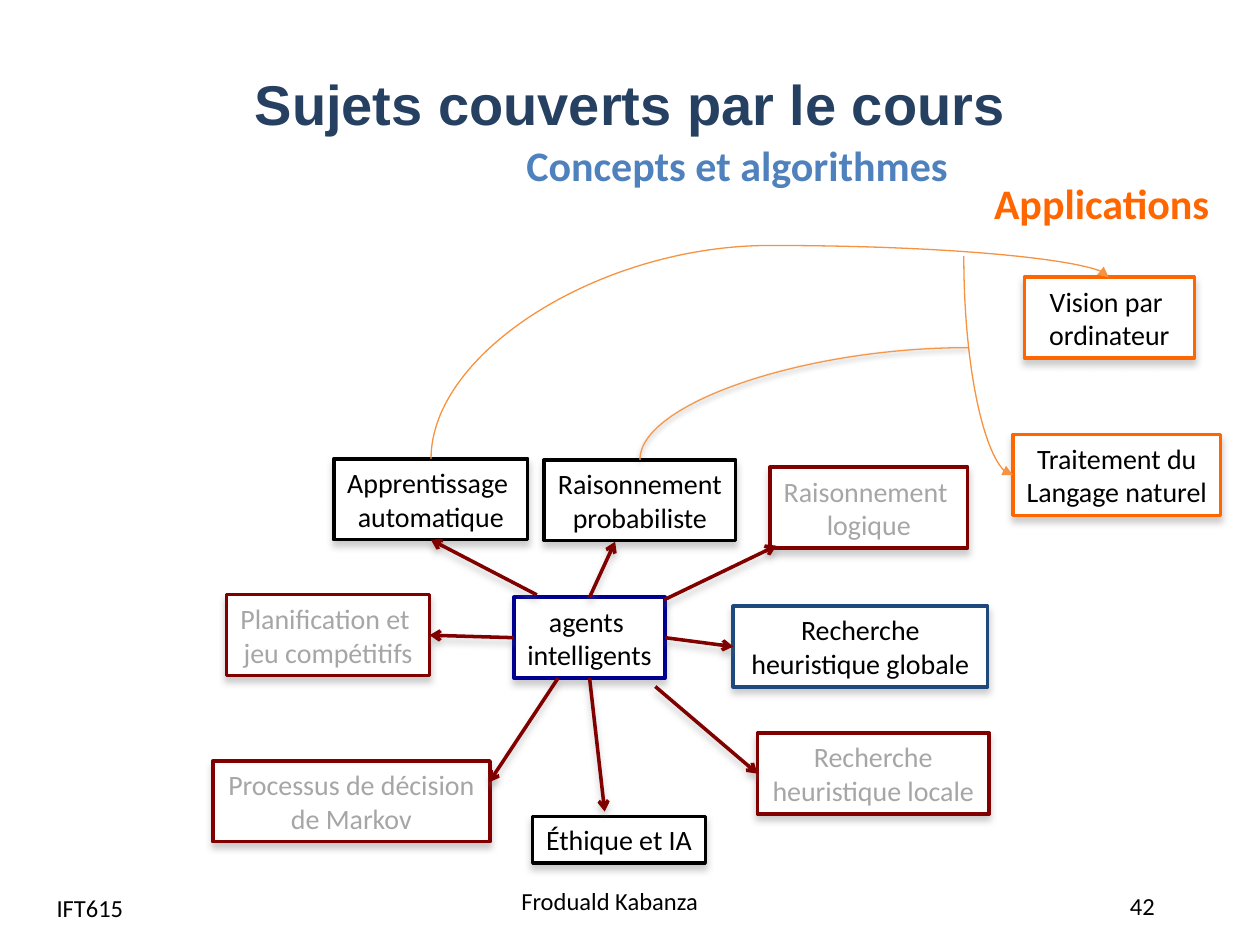
from lxml.etree import SubElement
from pptx import Presentation
from pptx.dml.color import RGBColor
from pptx.enum.shapes import MSO_CONNECTOR as Link, MSO_SHAPE as Preset
from pptx.enum.text import MSO_ANCHOR as Anchor, MSO_AUTO_SIZE as Fit, PP_ALIGN as Align
from pptx.oxml.ns import qn
from pptx.util import Cm, Pt

BLACK = RGBColor(0x00, 0x00, 0x00)
WHITE = RGBColor(0xFF, 0xFF, 0xFF)
GREY = RGBColor(0xA6, 0xA6, 0xA6)
MAROON = RGBColor(0x80, 0x00, 0x00)
NAVY = RGBColor(0x00, 0x00, 0x90)
STEEL = RGBColor(0x1F, 0x49, 0x7D)
TITLE_BLUE = RGBColor(0x25, 0x40, 0x61)
CONCEPT_BLUE = RGBColor(0x4F, 0x81, 0xBD)
ORANGE = RGBColor(0xFF, 0x66, 0x00)
CURVE_ORANGE = RGBColor(0xF6, 0x92, 0x40)
PALE_ORANGE = RGBColor(0xF7, 0x96, 0x46)

TOP, LEFT, BOTTOM, RIGHT = range(4)
ROW_HEIGHT = 1.63
SOFT_SHADOW = ("808080", 40, 4, 3)
DARK_SHADOW = ("000000", 38, 3.1, 1.6)


def add_shadow(effects, color, opacity, blur, distance):
    """Cast a shadow straight down; blur and distance are in points."""
    outer = SubElement(effects, qn("a:outerShdw"), blurRad=str(Pt(blur)),
                       dist=str(Pt(distance)), dir="5400000", rotWithShape="0")
    tint = SubElement(outer, qn("a:srgbClr"), val=color)
    SubElement(tint, qn("a:alpha"), val=str(opacity * 1000))


class ConceptMap:
    font = "Calibri"

    def __init__(self, slide):
        self.slide = slide
        self.shapes = slide.shapes

    def set_text(self, frame, text, size, color, align=Align.LEFT, bold=False, font=None):
        frame.text = text
        for paragraph in frame.paragraphs:
            paragraph.alignment = align
            for run in paragraph.runs:
                run.font.name = font or self.font
                run.font.size = Pt(size)
                run.font.bold = bold
                run.font.color.rgb = color

    def title(self, text, left, top, width, height):
        title = self.shapes.title
        title.left, title.top, title.width, title.height = map(Cm, (left, top, width, height))
        title.text_frame.vertical_anchor = Anchor.MIDDLE
        self.set_text(title.text_frame, text, 32, TITLE_BLUE, Align.CENTER, True, "Arial")

    def heading(self, text, left, top, width, color):
        frame = self.shapes.add_textbox(*map(Cm, (left, top, width, 1.27))).text_frame
        frame.word_wrap = False
        frame.auto_size = Fit.SHAPE_TO_FIT_TEXT
        self.set_text(frame, text, 24, color, bold=True)

    def footer(self, text, left, top, width, height, align=Align.LEFT):
        frame = self.shapes.add_textbox(*map(Cm, (left, top, width, height))).text_frame
        frame.word_wrap = True
        frame.vertical_anchor = Anchor.MIDDLE
        self.set_text(frame, text, 14, BLACK, align)

    def topic(self, text, left, top, width, border, color=BLACK, wrap=False, height=ROW_HEIGHT):
        box = self.shapes.add_shape(Preset.RECTANGLE, *map(Cm, (left, top, width, height)))
        box.shadow.inherit = False
        box.fill.solid()
        box.fill.fore_color.rgb = WHITE
        box.line.color.rgb = border
        box.line.width = Pt(2)
        add_shadow(box.element.spPr.find(qn("a:effectLst")), *SOFT_SHADOW)
        frame = box.text_frame
        frame.word_wrap = wrap
        frame.auto_size = Fit.SHAPE_TO_FIT_TEXT
        self.set_text(frame, text, 16, color, Align.CENTER)
        return box

    def style_link(self, link, color, width, head=None, shadow=None):
        link.line.color.rgb = color
        link.line.width = Pt(width)
        properties = link.element.spPr
        if head:
            SubElement(properties.find(qn("a:ln")), qn("a:tailEnd"), type=head)
        effects = SubElement(properties, qn("a:effectLst"))
        if shadow:
            add_shadow(effects, *shadow)

    def arrow(self, start, end):
        """Each end is a point in cm or a pair of box and side."""
        points = [(0, 0) if hasattr(place[0], "text_frame") else place for place in (start, end)]
        link = self.shapes.add_connector(Link.STRAIGHT, *(Cm(v) for point in points for v in point))
        for place, connect in ((start, link.begin_connect), (end, link.end_connect)):
            if hasattr(place[0], "text_frame"):
                connect(*place)
        self.style_link(link, MAROON, 2, "arrow", SOFT_SHADOW)

    def curve(self, start, end, turn, color, head=None, shadow=None, bend=None):
        """Draw a curve turned by 90 or 270 degrees; bend places its middle, in percent."""
        (x1, y1), (x2, y2) = start, end
        side = 1 if turn == 90 else -1
        half_x, half_y = side * (y2 - y1) / 2, -side * (x2 - x1) / 2
        mid_x, mid_y = (x1 + x2) / 2, (y1 + y2) / 2
        link = self.shapes.add_connector(
            Link.CURVE, *map(Cm, (mid_x - half_x, mid_y - half_y, mid_x + half_x, mid_y + half_y)))
        properties = link.element.spPr
        properties.find(qn("a:xfrm")).set("rot", str(turn * 60000))
        geometry = properties.find(qn("a:prstGeom"))
        if bend is None:
            geometry.set("prst", "curvedConnector2")
        else:
            SubElement(geometry.find(qn("a:avLst")), qn("a:gd"), name="adj1",
                       fmla=f"val {round(bend * 1000)}")
        self.style_link(link, color, 0.75, head, shadow)


def main():
    deck = Presentation()
    deck.slide_width, deck.slide_height = Cm(25.4), Cm(19.05)
    course = ConceptMap(deck.slides.add_slide(deck.slide_layouts[5]))

    course.title("Sujets couverts par le cours", 0.64, 1.09, 24.13, 1.96)
    course.footer("Froduald Kabanza", 10.26, 17.65, 8.76, 1.02)
    course.footer("42", 22, 17.93, 2.06, 0.66, Align.CENTER)
    course.footer("IFT615", 0.89, 17.78, 5.92, 1.02)

    agents = course.topic("agents \nintelligents", 10.36, 12.04, 3.05, NAVY)
    course.topic("Raisonnement \nlogique", 15.52, 9.42, 3.99, MAROON, GREY)
    learning = course.topic("Apprentissage \nautomatique", 6.73, 9.25, 3.91, BLACK)
    course.topic("Processus de décision \nde Markov", 4.29, 15.34, 5.59, MAROON, GREY, True)
    planning = course.topic("Planification et \njeu compétitifs", 4.57, 11.99, 4.09, MAROON, GREY)
    local_search = course.topic("Recherche heuristique locale", 15.27, 14.78, 4.67,
                                MAROON, GREY, True)
    global_search = course.topic("Recherche heuristique globale", 14.78, 12.22, 5.13,
                                 STEEL, wrap=True)
    course.topic("Éthique et IA", 10.74, 16.46, 3.48, BLACK, height=0.94)
    course.topic("Raisonnement\nprobabiliste", 10.97, 9.27, 3.86, BLACK)

    for start, end in (
        ((agents, TOP), (12.4, 10.92)),
        ((10.82, 11.99), (learning, BOTTOM)),
        ((agents, RIGHT), (global_search, LEFT)),
        ((13.21, 13.84), (local_search, LEFT)),
        ((agents, BOTTOM), (12.19, 16.36)),
        ((agents, LEFT), (planning, RIGHT)),
        ((11.25, 13.67), (9.86, 15.77)),
        ((13.39, 12.09), (15.65, 11)),
    ):
        course.arrow(start, end)

    course.heading("Applications", 19.79, 3.45, 4.9, ORANGE)
    course.heading("Concepts et algorithmes", 10.36, 2.69, 9.09, CONCEPT_BLUE)
    course.topic("Vision par \nordinateur", 20.65, 5.59, 3.43, ORANGE, wrap=True)
    course.curve((8.69, 9.25), (22.35, 5.59), 90, CURVE_ORANGE, "triangle", bend=117.5)
    course.topic("Traitement du\nLangage naturel", 20.42, 8.76, 4.19, ORANGE)
    course.curve((19.43, 5.16), (20.42, 9.58), 270, CURVE_ORANGE, "triangle")
    course.curve((12.9, 9.27), (19.51, 7.01), 90, PALE_ORANGE, shadow=DARK_SHADOW)

    deck.save("out.pptx")


if __name__ == "__main__":
    main()
